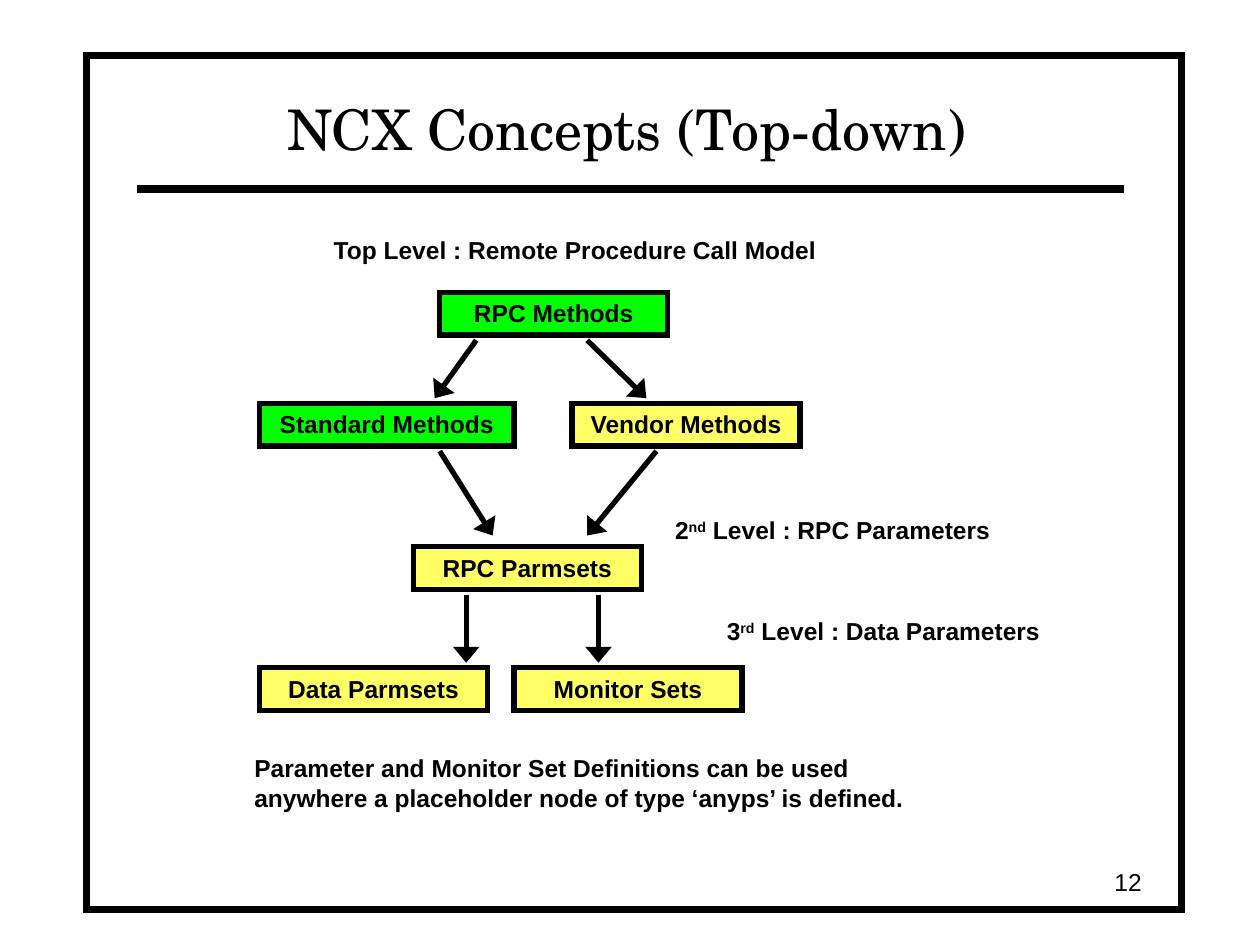
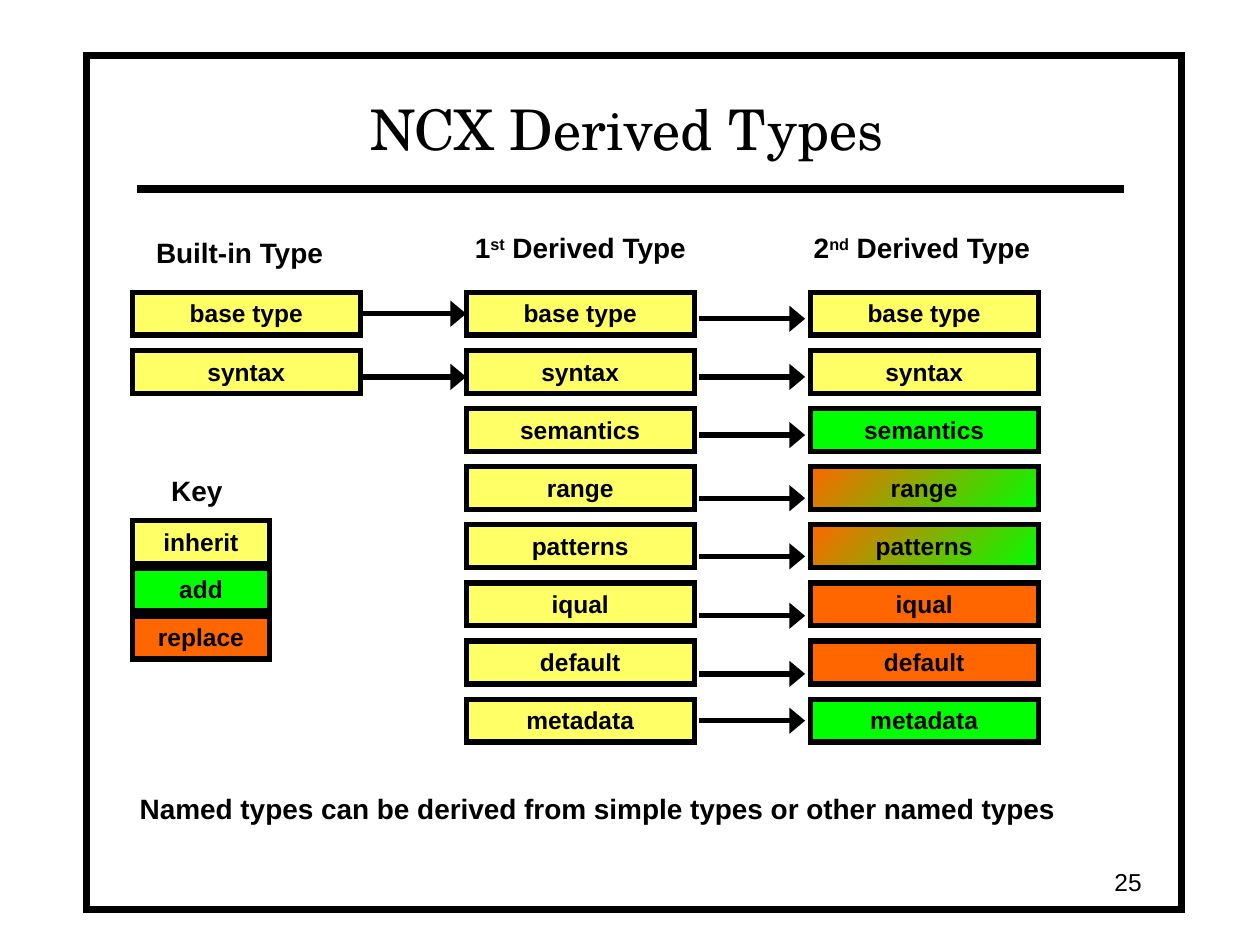
from lxml.etree import SubElement
from pptx import Presentation
from pptx.dml.color import RGBColor
from pptx.enum.shapes import MSO_CONNECTOR as Connector, MSO_SHAPE as Shape
from pptx.enum.text import MSO_ANCHOR as Anchor, PP_ALIGN as Align
from pptx.oxml.ns import qn
from pptx.util import Inches, Pt

BLACK = RGBColor(0x00, 0x00, 0x00)
WHITE = RGBColor(0xFF, 0xFF, 0xFF)
INHERIT = RGBColor(0xFF, 0xFF, 0x66)
ADD = RGBColor(0x00, 0xFF, 0x00)
REPLACE = RGBColor(0xFF, 0x66, 0x00)
BODY_FONT = "Arial"
TITLE_FONT = "TeX Gyre Schola"
BOX_WIDTH, BOX_HEIGHT = 1.81, 0.34

ATTRIBUTES = [
    ("base type", (INHERIT,), 0.04),
    ("syntax", (INHERIT,), 0.04),
    ("semantics", (ADD,), 0.04),
    ("range", (ADD, REPLACE), 0.08),
    ("patterns", (ADD, REPLACE), 0.08),
    ("iqual", (REPLACE,), 0.09),
    ("default", (REPLACE,), 0.09),
    ("metadata", (ADD,), 0),
]
ROW_PITCH = 3.23 / (len(ATTRIBUTES) - 1)


def write(frame, text, size=14, bold=True, font=BODY_FONT, align=Align.LEFT):
    """Fill a text frame, raising the parts enclosed in carets."""
    paragraph = frame.paragraphs[0]
    first, *others = text.split("^")
    paragraph.text = first
    paragraph.alignment = align
    for index, part in enumerate(others):
        run = paragraph.add_run()
        run.text = part
        if index % 2 == 0:
            run._r.get_or_add_rPr().set("baseline", "30000")
    paragraph.font.name = font
    paragraph.font.size = Pt(size)
    paragraph.font.bold = bold
    paragraph.font.color.rgb = BLACK


def add_label(slide, text, left, top, width, height=0.34, size=14):
    """Add a bold label in a box wide enough for its lines."""
    label = slide.shapes.add_textbox(Inches(left), Inches(top), Inches(width), Inches(height))
    label.text_frame.word_wrap = True
    write(label.text_frame, text, size)


def add_panel(slide, left, top, width, height, fills, line_width):
    """Add a sharp-cornered outlined rectangle with a plain or two-colour fill."""
    panel = slide.shapes.add_shape(
        Shape.RECTANGLE, Inches(left), Inches(top), Inches(width), Inches(height))
    panel.shadow.inherit = False
    panel.line.color.rgb = BLACK
    panel.line.width = Pt(line_width)
    SubElement(panel._element.spPr.find(qn("a:ln")), qn("a:miter"), lim="800000")
    if len(fills) == 1:
        panel.fill.solid()
        panel.fill.fore_color.rgb = fills[0]
    else:
        panel.fill.gradient()
        panel.fill.gradient_angle = 135
        for stop, color in zip(panel.fill.gradient_stops, fills):
            stop.color.rgb = color
    return panel


def add_box(slide, text, left, top, fills=(INHERIT,), width=BOX_WIDTH):
    """Add a diagram box with centred bold text."""
    box = add_panel(slide, left, top, width, BOX_HEIGHT, fills, 3)
    box.text_frame.vertical_anchor = Anchor.TOP
    write(box.text_frame, text, align=Align.CENTER)
    return box


def add_line(slide, x1, y1, x2, y2, width=3, arrow=True):
    """Add a black straight line, with an arrowhead unless told otherwise."""
    line = slide.shapes.add_connector(
        Connector.STRAIGHT, Inches(x1), Inches(y1), Inches(x2), Inches(y2))
    line.line.color.rgb = BLACK
    line.line.width = Pt(width)
    properties = line._element.spPr
    if arrow:
        SubElement(properties.find(qn("a:ln")), qn("a:tailEnd"), type="triangle", w="lg")
    SubElement(properties, qn("a:effectLst"))
    return line


def add_framed_slide(deck, title, number):
    """Add a slide with the shared frame, title, rule and page number."""
    slide = deck.slides.add_slide(deck.slide_layouts[6])
    add_panel(slide, 0.69, 0.44, 8.69, 6.78, (WHITE,), 4)
    add_line(slide, 1.09, 1.5, 8.92, 1.5, width=4.5, arrow=False)
    heading = slide.shapes.add_textbox(
        Inches(1.08), Inches(0.58), Inches(7.79), Inches(0.75)).text_frame
    heading.word_wrap = True
    heading.vertical_anchor = Anchor.BOTTOM
    write(heading, title, 32, False, TITLE_FONT, Align.CENTER)
    page = slide.shapes.add_textbox(
        Inches(7.08), Inches(6.83), Inches(2.08), Inches(0.33)).text_frame
    page.word_wrap = True
    page.vertical_anchor = Anchor.MIDDLE
    write(page, str(number), bold=False, align=Align.RIGHT)
    return slide


def draw_concept_tree(slide, left, top):
    """Draw the levels of NCX concepts from RPC methods to data sets."""
    for text, x, y, fill, width in [
        ("RPC Methods", 1.57, 0.5, ADD, BOX_WIDTH),
        ("Standard Methods", 0.14, 1.38, ADD, 2.02),
        ("Vendor Methods", 2.62, 1.38, INHERIT, BOX_WIDTH),
        ("RPC Parmsets", 1.36, 2.52, INHERIT, BOX_WIDTH),
        ("Data Parmsets", 0.14, 3.48, INHERIT, BOX_WIDTH),
        ("Monitor Sets", 2.16, 3.48, INHERIT, BOX_WIDTH),
    ]:
        add_box(slide, text, left + x, top + y, (fill,), width)
    for start, end, y1, y2 in [
        (1.86, 1.53, 0.88, 1.34), (2.74, 3.21, 0.88, 1.34),
        (1.57, 1.99, 1.76, 2.43), (3.29, 2.74, 1.76, 2.43),
        (1.78, 1.78, 2.9, 3.44), (2.83, 2.83, 2.9, 3.44),
    ]:
        add_line(slide, left + start, top + y1, left + end, top + y2)
    add_label(slide, "Top Level : Remote Procedure Call Model", left + 0.63, top, 4.15)
    add_label(slide, "2^nd^ Level : RPC Parameters", left + 3.34, top + 2.22, 2.8)
    add_label(slide, "3^rd^ Level : Data Parameters", left + 3.75, top + 3.02, 2.8)
    add_label(slide, "Parameter and Monitor Set Definitions can be used\n"
              "anywhere a placeholder node of type ‘anyps’ is defined.",
              left, top + 4.11, 5.5, 0.57)


def draw_derivation(slide, left, top):
    """Draw the built-in type and the two types derived from it."""
    first_left, second_left = left + 2.65, left + 5.38
    add_label(slide, "Built-in Type", left + 0.09, top + 0.04, 1.65, 0.37, 16)
    add_label(slide, "1^st^ Derived Type", first_left - 0.03, top, 2, 0.37, 16)
    add_label(slide, "2^nd^ Derived Type", second_left - 0.07, top, 2.05, 0.37, 16)
    for row, (name, fills, drop) in enumerate(ATTRIBUTES):
        y = top + 0.54 + row * ROW_PITCH
        middle = y + BOX_HEIGHT / 2
        first = add_box(slide, name, first_left, y)
        add_box(slide, name, second_left, y, fills)
        add_line(slide, first_left + BOX_WIDTH + 0.04, middle + drop,
                 second_left - 0.04, middle + drop)
        if row < 2:
            built_in = add_box(slide, name, left, y)
            link_y = middle + row * drop
            link = add_line(slide, left + BOX_WIDTH, link_y, first_left, link_y)
            if row == 0:
                link.begin_connect(built_in, 3)
                link.end_connect(first, 1)


def draw_key(slide, left, top):
    """Draw the key to the box colours."""
    add_label(slide, "Key", left + 0.21, top, 0.75, 0.37, 16)
    for row, (meaning, fill) in enumerate(
            [("inherit", INHERIT), ("add", ADD), ("replace", REPLACE)]):
        add_box(slide, meaning, left, top + 0.42 + row * 0.38, (fill,), 1.09)


def main():
    """Build and save both slides."""
    deck = Presentation()
    deck.slide_width, deck.slide_height = Inches(10), Inches(7.5)
    concepts = add_framed_slide(deck, "NCX Concepts (Top-down)", 12)
    draw_concept_tree(concepts, 1.92, 1.82)
    derived = add_framed_slide(deck, "NCX Derived Types", 25)
    draw_derivation(derived, 1.05, 1.78)
    draw_key(derived, 1.05, 3.71)
    add_label(derived, "Named types can be derived from simple types or other named types",
              1.01, 6.23, 7.81, 0.37, 16)
    deck.save("out.pptx")


if __name__ == "__main__":
    main()
